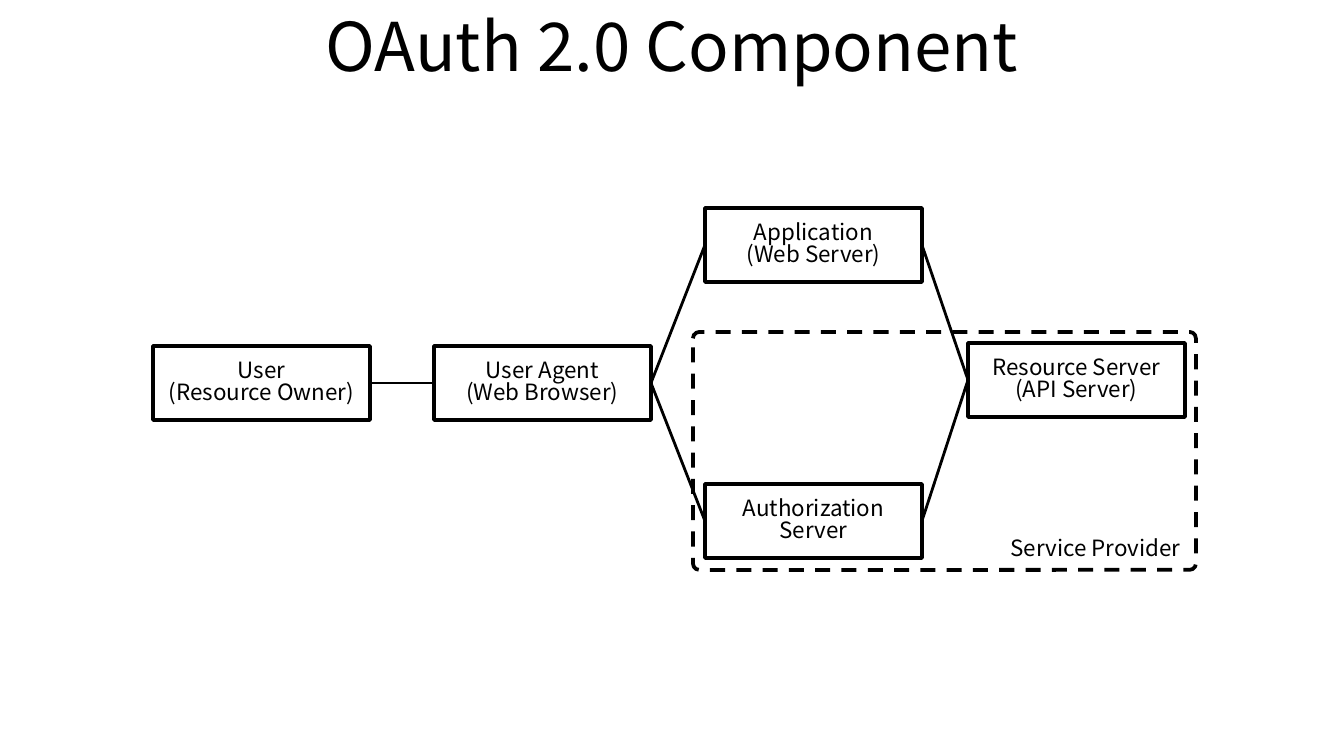
import pptx
import pptx.dml.color
import pptx.enum.dml
import pptx.enum.shapes
import pptx.enum.text
import pptx.oxml.ns
import pptx.util
import lxml.etree

SCALE = 9144000 / 1344
FONT = "Noto Sans CJK KR"
BLACK, WHITE = "000000", "FFFFFF"
ALIGN = pptx.enum.text.PP_ALIGN
ANCHOR = pptx.enum.text.MSO_ANCHOR


def px(*lengths):
    return [pptx.util.Emu(round(length * SCALE)) for length in lengths]


def write(shape, lines, size, alignment, anchor, spacing):
    frame = shape.text_frame
    frame.word_wrap = True
    frame.vertical_anchor = anchor
    frame.text = "\n".join(lines)
    for paragraph in frame.paragraphs:
        paragraph.alignment = alignment
        paragraph.line_spacing = spacing
        paragraph.font.size = pptx.util.Pt(size)
        paragraph.font.name = FONT
        paragraph.font.color.rgb = pptx.dml.color.RGBColor.from_string(BLACK)


presentation = pptx.Presentation()
presentation.slide_width, presentation.slide_height = px(1344, 756)
slide = presentation.slides.add_slide(presentation.slide_layouts[6])

panels = [
    ("provider", 693, 332, 503, 238, 0.027, ["Service Provider"]),
    ("user", 153, 346, 217, 74, 0, ["User", "(Resource Owner)"]),
    ("agent", 434, 346, 217, 74, 0, ["User Agent", "(Web Browser)"]),
    ("application", 705, 208, 217, 74, 0, ["Application", "(Web Server)"]),
    ("authorization", 705, 484, 217, 74, 0, ["Authorization", "Server"]),
    ("resource", 968, 343, 217, 74, 0, ["Resource Server", "(API Server)"]),
]
shapes = {}
for name, left, top, width, height, radius, lines in panels:
    shape = slide.shapes.add_shape(
        pptx.enum.shapes.MSO_SHAPE.ROUNDED_RECTANGLE, *px(left, top, width, height))
    shape.adjustments[0] = radius
    shape.shadow.inherit = False
    shape.fill.solid()
    shape.fill.fore_color.rgb = pptx.dml.color.RGBColor.from_string(WHITE)
    shape.line.color.rgb = pptx.dml.color.RGBColor.from_string(BLACK)
    shape.line.width = pptx.util.Pt(2)
    if name == "provider":
        shape.line.dash_style = pptx.enum.dml.MSO_LINE.DASH
        write(shape, lines, 12, ALIGN.RIGHT, ANCHOR.BOTTOM, 1.0)
    else:
        shape.text_frame.margin_left = shape.text_frame.margin_right = 0
        write(shape, lines, 12, ALIGN.CENTER, ANCHOR.MIDDLE, 0.82)
    shapes[name] = shape

title = slide.shapes.add_textbox(*px(67, -3, 1210, 106))
write(title, ["OAuth 2.0 Component"], 36, ALIGN.CENTER, ANCHOR.MIDDLE, 0.9)

links = [
    ("user", 3, "agent", 1),
    ("agent", 3, "application", 1),
    ("agent", 3, "authorization", 1),
    ("resource", 1, "authorization", 3),
    ("resource", 1, "application", 3),
]
for start, start_side, end, end_side in links:
    connector = slide.shapes.add_connector(
        pptx.enum.shapes.MSO_CONNECTOR.STRAIGHT, 0, 0, 0, 0)
    connector.begin_connect(shapes[start], start_side)
    connector.end_connect(shapes[end], end_side)
    connector.line.color.rgb = pptx.dml.color.RGBColor.from_string(BLACK)
    connector.line.width = pptx.util.Pt(1.5)
    lxml.etree.SubElement(connector._element.spPr, pptx.oxml.ns.qn("a:effectLst"))

presentation.save("out.pptx")
